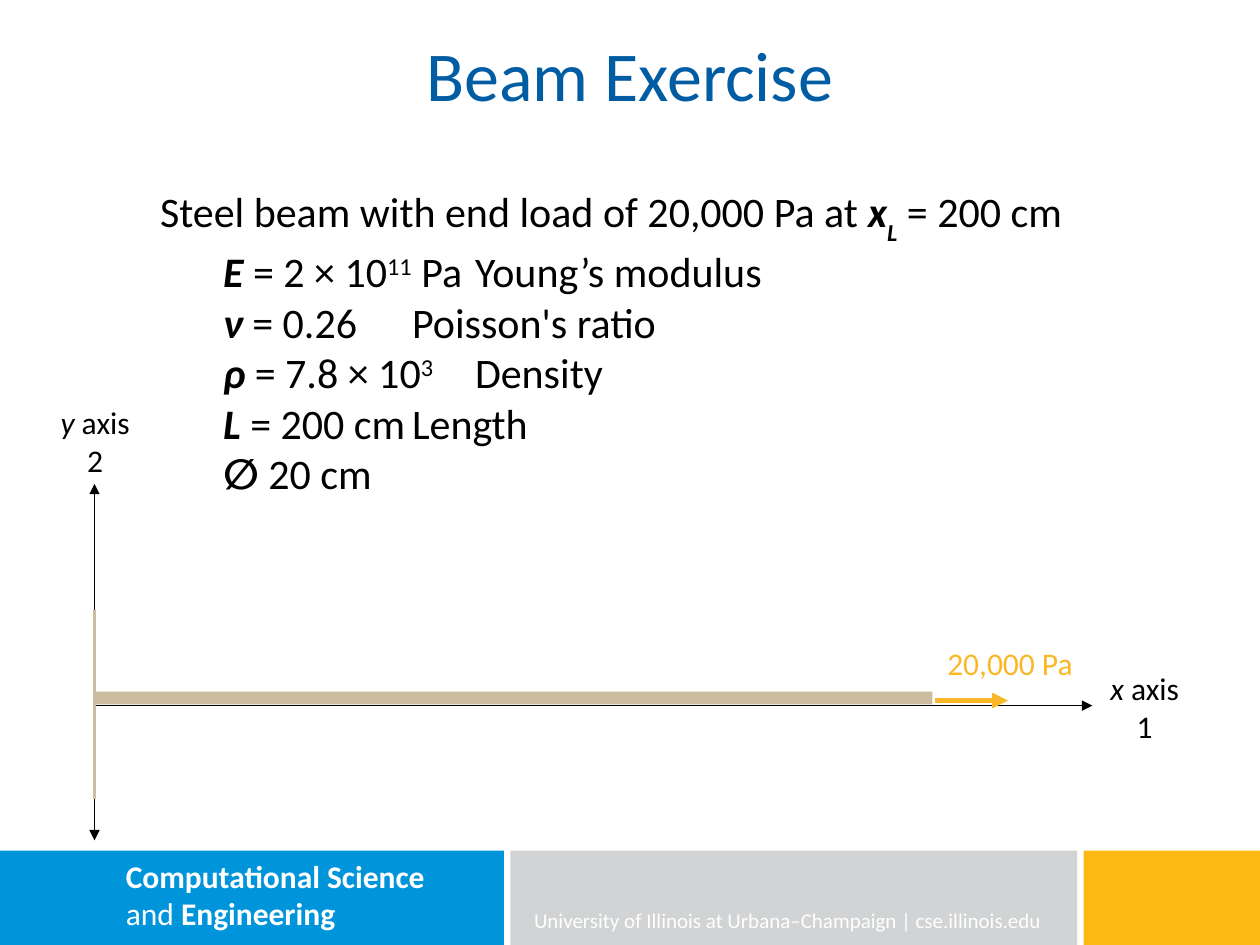
from dataclasses import dataclass

from lxml.etree import SubElement
from pptx import Presentation
from pptx.dml.color import RGBColor as RGB
from pptx.enum.shapes import MSO_CONNECTOR as CONN, MSO_SHAPE as SHAPE
from pptx.enum.text import MSO_ANCHOR as ANCHOR, MSO_AUTO_SIZE as AUTO, PP_ALIGN as ALIGN
from pptx.oxml.ns import qn
from pptx.util import Inches, Pt


@dataclass(frozen=True)
class Theme:
    """Colours, font and type sizes of the slide."""
    font: str = "Calibri"
    title: RGB = RGB(0x00, 0x5D, 0xA4)
    ink: RGB = RGB(0, 0, 0)
    white: RGB = RGB(0xFF, 0xFF, 0xFF)
    blue: RGB = RGB(0x00, 0x95, 0xDA)
    grey: RGB = RGB(0xD1, 0xD3, 0xD4)
    gold: RGB = RGB(0xFD, 0xB9, 0x13)
    load: RGB = RGB(0xFA, 0xB8, 0x28)
    beam: RGB = RGB(0xCB, 0xBD, 0x9E)
    title_pt: int = 40
    body_pt: int = 24
    label_pt: int = 18
    footer_pt: int = 12


THEME = Theme()
BOLD = {"bold": True}
ITALIC = {"italic": True}
SYMBOL = {**BOLD, **ITALIC}
SUPER, SUB = 30000, -33000

INTRO = [("Steel beam with end load of 20,000 Pa at ",), ("x", SYMBOL),
         ("L", SYMBOL, SUB), (" = 200 cm",)]
PROPERTIES = [
    (3.0, [("\tE", SYMBOL), (" = 2 × 10",), ("11", {}, SUPER), (" Pa\tYoung’s modulus",)]),
    (4.0, [("\tν", SYMBOL), (" = 0.26\tPoisson's ratio",)]),
    (3.5, [("\tρ", SYMBOL), (" = 7.8 × 10",), ("3", {}, SUPER), ("\tDensity",)]),
    (3.5, [("\tL", SYMBOL), (" = 200 cm\tLength",)]),
    (3.5, [("\t∅", BOLD), (" 20 cm",)]),
]
FOOTER = [(0, 4, THEME.blue), (4.05, 4.5, THEME.grey), (8.6, 1.4, THEME.gold)]


def place(sp, left, top, width, height):
    """Move and size a shape in inches."""
    box = {"left": left, "top": top, "width": width, "height": height}
    for name, value in box.items():
        setattr(sp, name, Inches(value))


def add_run(p, size, color, text, style=None, baseline=0):
    """Add one formatted run, raised or lowered by its baseline."""
    r = p.add_run()
    r.text = text
    for name, value in {"name": THEME.font, "size": Pt(size), **(style or {})}.items():
        setattr(r.font, name, value)
    r.font.color.rgb = color
    if baseline:
        r._r.get_or_add_rPr().set("baseline", str(baseline))


def set_tabs(p, stops):
    """Drop the bullet and indent of a paragraph and give it tab stops."""
    pPr = p._p.get_or_add_pPr()
    pPr.set("marL", "0")
    pPr.set("indent", "0")
    SubElement(pPr, qn("a:buNone"))
    tabs = SubElement(pPr, qn("a:tabLst"))
    for stop in stops:
        SubElement(tabs, qn("a:tab"), pos=str(Inches(stop)), algn="l")


def fill_text(sp, lines, size, color, align=ALIGN.LEFT, anchor=ANCHOR.TOP, tabs=None):
    """Write lines of runs into a shape, with tab stops per line if given."""
    tf = sp.text_frame
    for name, value in {"word_wrap": True, "auto_size": AUTO.NONE,
                        "vertical_anchor": anchor}.items():
        setattr(tf, name, value)
    for i, runs in enumerate(lines):
        p = tf.add_paragraph() if i else tf.paragraphs[0]
        if tabs:
            set_tabs(p, tabs[i])
        p.alignment = align
        p.space_before = Pt(0)
        for run in runs:
            add_run(p, size, color, *run)


def add_label(s, box, lines, size, color, align=ALIGN.LEFT):
    """Add a text box."""
    sp = s.shapes.add_textbox(*map(Inches, box))
    fill_text(sp, lines, size, color, align)


def add_block(s, box, color):
    """Add a plain filled rectangle."""
    sp = s.shapes.add_shape(SHAPE.RECTANGLE, *map(Inches, box))
    sp.shadow.inherit = False
    sp.fill.solid()
    sp.fill.fore_color.rgb = color
    sp.line.fill.background()


def add_line(s, start, end, color, width, arrows=()):
    """Add a straight line with arrowheads at the named ends."""
    sp = s.shapes.add_connector(CONN.STRAIGHT, *map(Inches, (*start, *end)))
    sp.line.color.rgb = color
    sp.line.width = Pt(width)
    for end_name in arrows:
        SubElement(sp.line._get_or_add_ln(), qn(f"a:{end_name}"), type="triangle")
    SubElement(sp._element.spPr, qn("a:effectLst"))


def add_footer(s):
    """Add the coloured footer band and its wording."""
    for left, width, color in FOOTER:
        add_block(s, (left, 6.75, width, 0.75), color)
    unit = [[("Computational Science", BOLD)], [("and ",), ("Engineering", BOLD)]]
    add_label(s, (0.9, 6.75, 2.76, 0.7), unit, THEME.label_pt, THEME.white)
    address = [[("University of Illinois at Urbana–Champaign | cse.illinois.edu",)]]
    add_label(s, (4.14, 7.15, 4.36, 0.35), address, THEME.footer_pt, THEME.white)


def add_diagram(s):
    """Draw the axes, the clamped beam and its end load."""
    add_line(s, (0.75, 5.6), (8.67, 5.6), THEME.ink, 0.75, ["tailEnd"])
    add_line(s, (0.75, 6.67), (0.75, 3.84), THEME.ink, 0.75, ["headEnd", "tailEnd"])
    add_line(s, (0.75, 4.84), (0.75, 6.34), THEME.beam, 2.15)
    add_block(s, (0.75, 5.49, 6.65, 0.1), THEME.beam)
    add_line(s, (7.42, 5.56), (8, 5.56), THEME.load, 3, ["tailEnd"])
    add_label(s, (7.42, 5.06, 1.27, 0.7), [[("20,000 Pa",)]], THEME.label_pt, THEME.load)
    for box, axis, number in [((0.33, 3.15, 0.85, 1), "y", 2), ((8.67, 5.26, 0.83, 1), "x", 1)]:
        runs = [(axis, ITALIC), (f" axis {number}",)]
        add_label(s, box, [runs], THEME.label_pt, THEME.ink, ALIGN.CENTER)


def main():
    """Build the slide and save it."""
    prs = Presentation()
    prs.slide_width, prs.slide_height = Inches(10), Inches(7.5)
    s = prs.slides.add_slide(prs.slide_layouts[1])
    title, body = s.placeholders
    place(title, 0, 0.2, 10, 0.77)
    fill_text(title, [[("Beam Exercise",)]], THEME.title_pt, THEME.title,
              ALIGN.CENTER)
    place(body, 1.17, 1.42, 7.83, 2.98)
    fill_text(body, [INTRO] + [runs for _, runs in PROPERTIES], THEME.body_pt, THEME.ink,
              tabs=[[0.5]] + [[0.5, column] for column, _ in PROPERTIES])
    add_footer(s)
    add_diagram(s)
    prs.save("out.pptx")


if __name__ == "__main__":
    main()
